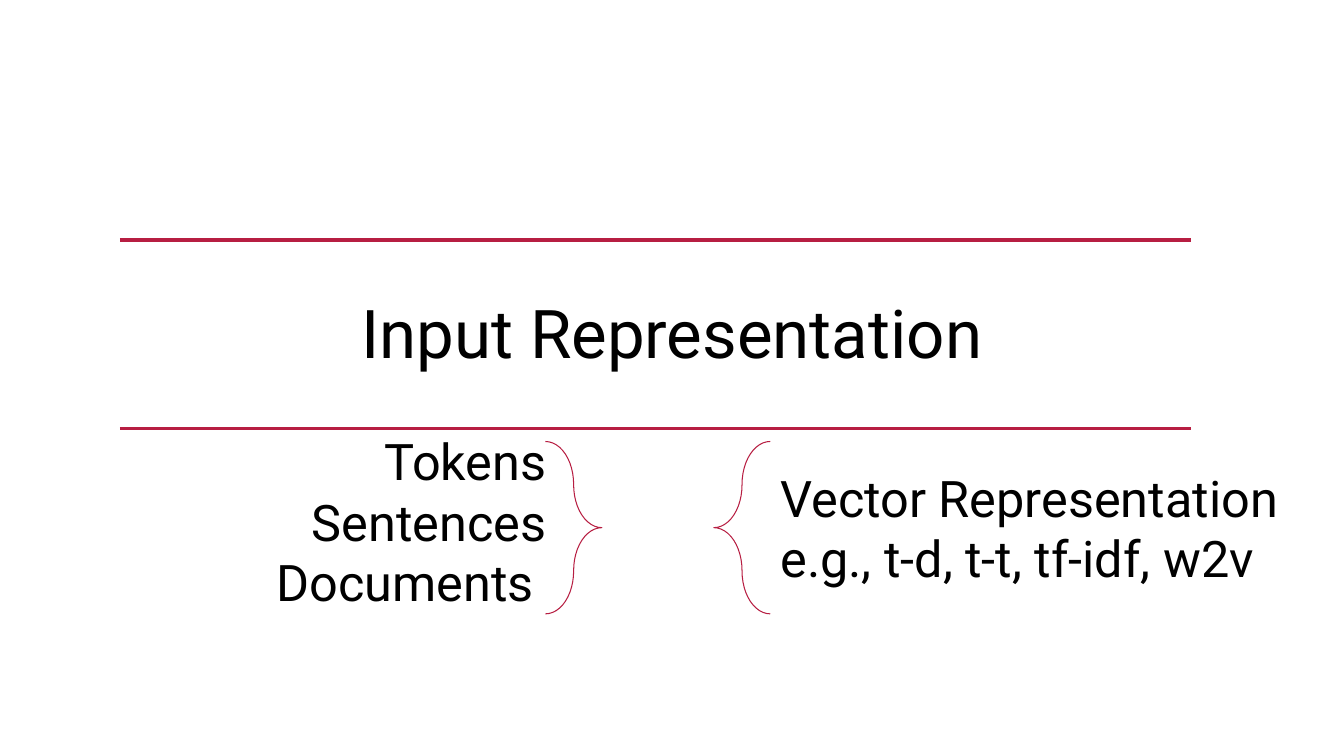
from lxml.etree import SubElement
from pptx import Presentation
from pptx.dml.color import RGBColor
from pptx.enum.shapes import MSO_CONNECTOR, MSO_SHAPE
from pptx.enum.text import MSO_ANCHOR, MSO_AUTO_SIZE, PP_ALIGN
from pptx.oxml.ns import qn
from pptx.util import Inches, Pt


def colour(hex_code):
    """Turn a hex string into a colour."""
    return RGBColor.from_string(hex_code)


class SlideBuilder:
    """Hold the style and the current slide."""

    FONT = "Roboto"
    TEXT = "000000"
    ACCENT = "B71E42"

    def __init__(self, slide):
        """Keep the slide to draw on."""
        self.slide = slide

    def text(self, index, box, lines, size, align):
        """Place and format the placeholder with the given index."""
        holder = self.slide.placeholders[index]
        holder.left, holder.top, holder.width, holder.height = map(Inches, box)
        frame = holder.text_frame
        frame.text = "\n".join(lines)
        frame.word_wrap = True
        frame.auto_size = MSO_AUTO_SIZE.NONE
        frame.vertical_anchor = MSO_ANCHOR.TOP
        for paragraph in frame.paragraphs:
            paragraph.alignment = align
            paragraph.space_before = Pt(0)
            properties = paragraph._p.get_or_add_pPr()
            properties.set("marL", "0")
            properties.set("indent", "0")
            SubElement(properties, qn("a:buNone"))
            for run in paragraph.runs:
                run.font.name = self.FONT
                run.font.size = Pt(size)
                run.font.color.rgb = colour(self.TEXT)

    def rule(self, left, right, y):
        """Draw a horizontal accent line."""
        line = self.slide.shapes.add_connector(
            MSO_CONNECTOR.STRAIGHT, Inches(left), Inches(y), Inches(right), Inches(y))
        line.line.color.rgb = colour(self.ACCENT)
        line.line.width = Pt(2.5)
        SubElement(line._element.spPr, qn("a:effectLst"))

    def brace(self, kind, left):
        """Draw a curly brace beside a list."""
        brace = self.slide.shapes.add_shape(
            kind, Inches(left), Inches(4.38), Inches(0.56), Inches(1.71))
        brace.adjustments[0] = 0.76
        brace.adjustments[1] = 0.5
        brace.fill.background()
        brace.line.color.rgb = colour(self.ACCENT)
        brace.line.width = Pt(0.75)
        brace.shadow.inherit = False


def main():
    """Build and save the slide."""
    deck = Presentation()
    deck.slide_width, deck.slide_height = Inches(13.33), Inches(7.5)
    two_content = deck.slide_layouts.get_by_name("Two Content")
    builder = SlideBuilder(deck.slides.add_slide(two_content))

    for y in (2.38, 4.25):
        builder.rule(1.19, 11.81, y)
    builder.text(0, (0, 2.84, 13.33, 0.91), ["Input Representation"], 48, PP_ALIGN.CENTER)

    inputs = ["Tokens", "Sentences", "Documents "]
    builder.text(1, (2.38, 4.22, 3.14, 1.92), inputs, 36, PP_ALIGN.RIGHT)
    builder.brace(MSO_SHAPE.RIGHT_BRACE, 5.41)

    vectors = ["Vector Representation", "e.g., t-d, t-t, tf-idf, w2v"]
    builder.brace(MSO_SHAPE.LEFT_BRACE, 7.08)
    builder.text(2, (7.64, 4.58, 5.2, 1.31), vectors, 36, PP_ALIGN.LEFT)

    deck.save("out.pptx")


if __name__ == "__main__":
    main()
